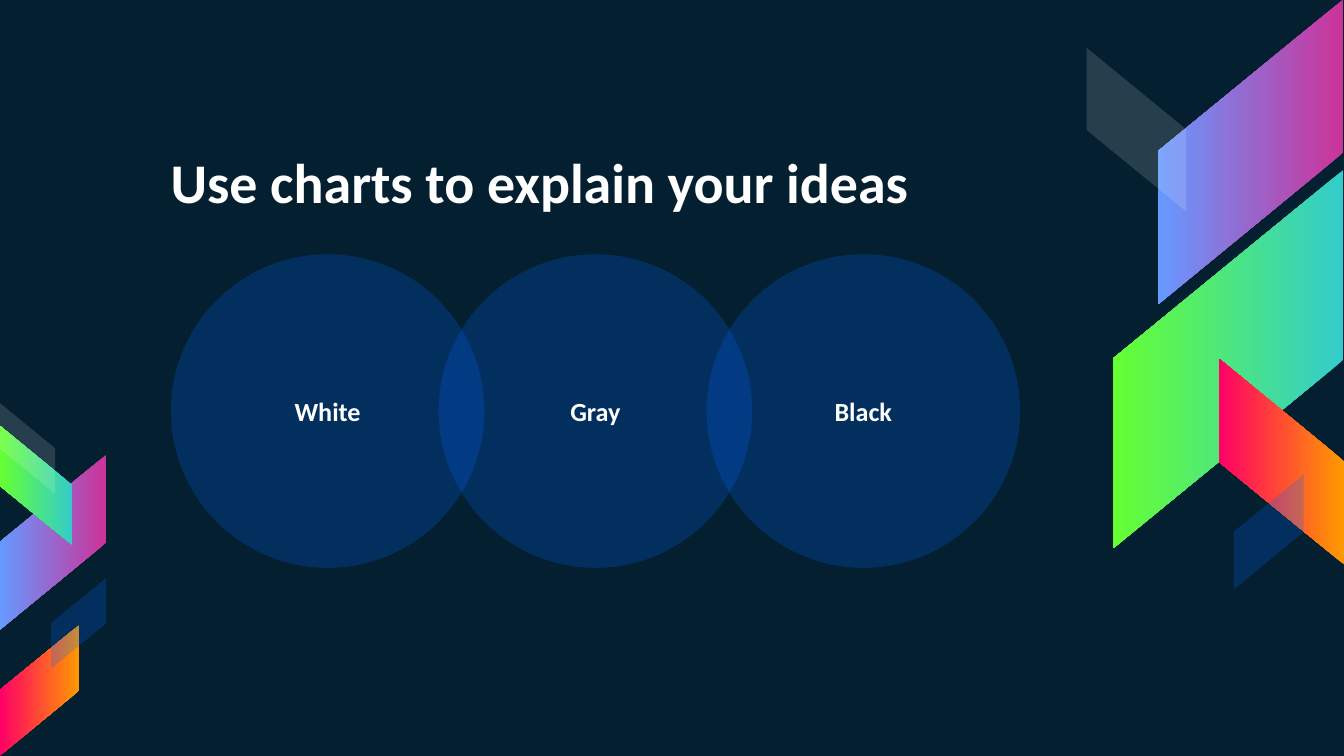
from pptx import Presentation
from pptx.dml.color import RGBColor
from pptx.enum.shapes import MSO_SHAPE
from pptx.enum.text import MSO_ANCHOR, MSO_AUTO_SIZE, PP_ALIGN
from pptx.oxml.ns import qn
from pptx.util import Pt
from lxml import etree

BAND, DISC = MSO_SHAPE.PARALLELOGRAM, MSO_SHAPE.OVAL
MIDDLE, BOTTOM = MSO_ANCHOR.MIDDLE, MSO_ANCHOR.BOTTOM
LEFT, CENTER = PP_ALIGN.LEFT, PP_ALIGN.CENTER
FIXED = MSO_AUTO_SIZE.NONE

NIGHT = RGBColor(0x04, 0x1F, 0x30)
WHITE = RGBColor(0xFF, 0xFF, 0xFF)
BLUE = RGBColor(0x00, 0x66, 0xFF)
SKY = RGBColor(0x66, 0x99, 0xFF)
PINK = RGBColor(0xCC, 0x33, 0x99)
LIME = RGBColor(0x66, 0xFF, 0x33)
TEAL = RGBColor(0x33, 0xCC, 0xCC)
RED = RGBColor(0xFF, 0x00, 0x66)
AMBER = RGBColor(0xFF, 0x99, 0x00)

# A fill is (left colour, right colour) or (colour, opacity in percent)
VIOLET, GREEN, FLAME = (SKY, PINK), (LIME, TEAL), (RED, AMBER)
HAZE, GLASS = (WHITE, 14), (BLUE, 23)

TITLE = "Use charts to explain your ideas"
TITLE_BOX = (84.2, 72, 470.2, 50.4)
LABELS = ["White", "Gray", "Black"]
ORDER = [1, 0, 2]  # back to front
DISC_X, DISC_Y, DISC_SIZE, DISC_STEP = 91.5, 136.2, 168, 143.5

# Left, top, width as seen, rises to the right, fill
BANDS = [
    (620.3, -0.4, 99.4, True, VIOLET),
    (596.5, 91.1, 123.1, True, GREEN),
    (653, 192.2, 67, False, FLAME),
    (582.1, 25.6, 53.3, False, HAZE),
    (661, 254.2, 37.4, True, GLASS),
    (0, 243.7, 56.9, True, VIOLET),
    (0, 228.2, 38.9, False, GREEN),
    (0, 334.8, 42.5, True, FLAME),
    (0, 216, 29.5, False, HAZE),
    (27.4, 309.6, 29.5, True, GLASS),
]
RATIO = 1.645  # band height to width
SLANT = 0.819


def paint(shape, fill):
    first, second = fill
    if isinstance(second, RGBColor):
        shape.fill.gradient()
        shape.fill.gradient_angle = 270
        # The quarter turn brings the first stop to the right
        for stop, color in zip(shape.fill.gradient_stops, (second, first)):
            stop.color.rgb = color
    else:
        shape.fill.solid()
        shape.fill.fore_color.rgb = first
        color = shape.fill._xPr.find(qn("a:solidFill"))[0]
        etree.SubElement(color, qn("a:alpha"), val=str(second * 1000))
    shape.line.fill.background()
    shape.shadow.inherit = False


def write(shape, text, size, align, anchor):
    frame = shape.text_frame
    frame.text = text
    form = dict(margin_left=Pt(7.2), margin_right=Pt(7.2), margin_top=Pt(7.2),
                margin_bottom=Pt(7.2), word_wrap=True, auto_size=FIXED,
                vertical_anchor=anchor)
    for name, value in form.items():
        setattr(frame, name, value)
    line = frame.paragraphs[0]
    line.alignment = align
    for name, value in dict(name="Calibri", size=Pt(size), bold=True).items():
        setattr(line.font, name, value)
    line.font.color.rgb = WHITE


def add_band(slide, left, top, width, rises, fill):
    height = width * RATIO
    # The box lies on its side about the same centre before it is turned
    shift = (height - width) / 2
    band = slide.shapes.add_shape(BAND, Pt(left - shift), Pt(top + shift),
                                  Pt(height), Pt(width))
    band.adjustments[0] = SLANT
    band.rotation = 90
    if rises:
        band._element.spPr.xfrm.set("flipH", "1")
    paint(band, fill)


def main():
    deck = Presentation()
    deck.slide_width, deck.slide_height = Pt(720), Pt(405)
    slide = deck.slides.add_slide(deck.slide_layouts[5])
    slide.background.fill.solid()
    slide.background.fill.fore_color.rgb = NIGHT

    for band in BANDS:
        add_band(slide, *band)

    title = slide.shapes.title
    for name, value in zip(("left", "top", "width", "height"), TITLE_BOX):
        setattr(title, name, Pt(value))
    write(title, TITLE, 30, LEFT, BOTTOM)

    for i in ORDER:
        disc = slide.shapes.add_shape(DISC, Pt(DISC_X + i * DISC_STEP), Pt(DISC_Y),
                                      Pt(DISC_SIZE), Pt(DISC_SIZE))
        paint(disc, GLASS)
        write(disc, LABELS[i], 14, CENTER, MIDDLE)

    deck.save("out.pptx")


if __name__ == "__main__":
    main()
